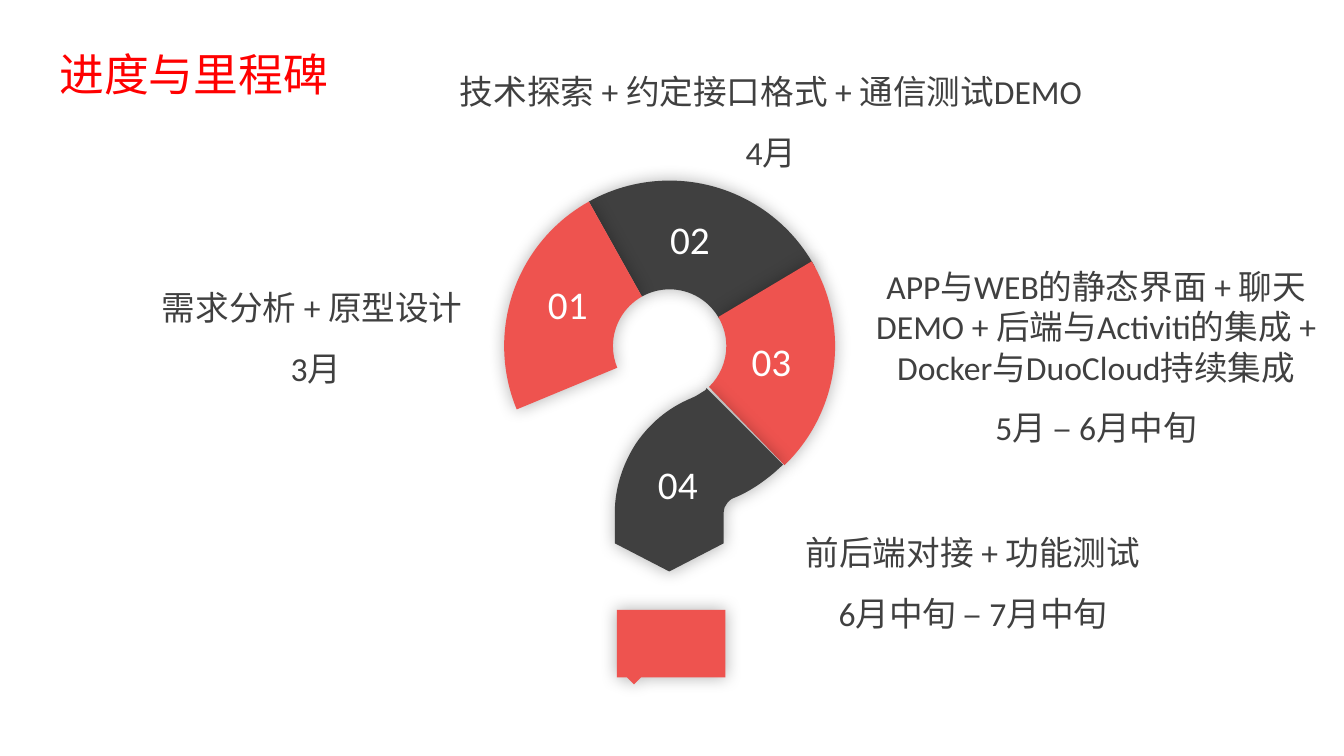
import math
from dataclasses import dataclass

import pptx
import pptx.dml.color
import pptx.enum.text
import pptx.oxml
import pptx.oxml.ns
import pptx.util

Pt = pptx.util.Pt
qn = pptx.oxml.ns.qn
Align = pptx.enum.text.PP_ALIGN
Anchor = pptx.enum.text.MSO_ANCHOR
AutoSize = pptx.enum.text.MSO_AUTO_SIZE


@dataclass(frozen=True)
class Theme:
    font: str = "Calibri"
    red: str = "EE534F"
    dark: str = "404040"
    white: str = "FFFFFF"
    title: str = "FF0000"
    title_size: int = 32
    number_size: int = 28
    body_size: int = 24


THEME = Theme()

# The ring of the question mark: centre and radii in points
CENTRE = (478.3, 247.2)
OUTER, INNER = 118.2, 40.5

# Fill, then the angles of the start, the axis crossed and the end, clockwise
SECTORS = [
    (THEME.dark, (240.8, 270, 331.6)),
    (THEME.red, (-30.8, 0, 46)),
    (THEME.red, (157.5, 180, 240.8)),
]

# Each step is one point for a line, or three points for a curve
HOOK = [
    [(504.7, 277.2)],
    [(559.4, 331.9)],
    [(553, 337.7)],
    [(544.3, 344.9), (535, 351.4), (524.2, 355.7)],
    [(522, 356.4), (519.8, 358.6), (519.1, 360)],
    [(517.7, 361.4), (517, 363.6), (517, 365.8)],
    [(517, 388.1)],
    [(478.1, 408.2)],
    [(439.2, 388.1)],
    [(439.2, 365.8)],
    [(439.2, 348.5), (445, 331.2), (454.3, 316.8)],
    [(463.7, 303.1), (476.6, 291.6), (493.9, 284.4)],
    [(497.5, 283), (500.4, 280.8), (504, 278.6)],
]
DOT = [[(440.6, 435.6)], [(518.2, 435.6)], [(518.2, 483.8)], [(457.9, 483.8)],
       [(452.9, 488.9)], [(447.8, 483.8)], [(440.6, 483.8)]]

# Left and top of each number
NUMBERS = {
    "01": (380, 196.6),
    "02": (467.3, 150.5),
    "03": (525.4, 237.1),
    "04": (458.6, 325.4),
}

# Left, top, width, height, line spacing of the task, task, date
MILESTONES = [
    (96.5, 187.2, 258.5, 90, 1.5, "需求分析 + 原型设计 ", "3月"),
    (305.5, 33, 490.3, 90, 1.5, "技术探索 + 约定接口格式 + 通信测试DEMO", "4月"),
    (617, 186.5, 331.9, 138.2, 1.0,
     "APP与WEB的静态界面 + 聊天DEMO + 后端与Activiti的集成 + Docker与DuoCloud持续集成",
     "5月 – 6月中旬"),
    (529, 362.2, 331.9, 90, 1.5, "前后端对接 + 功能测试", "6月中旬 – 7月中旬"),
]


def set_all(target, values):
    for name, value in values.items():
        setattr(target, name, value)


def rgb(value):
    return pptx.dml.color.RGBColor.from_string(value)


def ring_point(radius, degrees, along=0.0):
    """Point on the ring, moved by a length along its tangent."""
    angle = math.radians(degrees)
    return (CENTRE[0] + radius * math.cos(angle) - along * math.sin(angle),
            CENTRE[1] + radius * math.sin(angle) + along * math.cos(angle))


def arc(radius, angles):
    """One curve step between each pair of neighbouring angles."""
    steps = []
    for start, end in zip(angles, angles[1:]):
        reach = radius * 4 / 3 * math.tan(math.radians(end - start) / 4)
        steps.append([ring_point(radius, start, reach),
                      ring_point(radius, end, -reach),
                      ring_point(radius, end)])
    return steps


def sector(angles):
    return [[ring_point(OUTER, angles[0])], *arc(OUTER, angles),
            [ring_point(INNER, angles[-1])], *arc(INNER, angles[::-1])]


def bend(shape, steps):
    """Turn the three lines of each curve step into one curve."""
    lines = iter(list(shape.element.iter(qn("a:lnTo"))))
    for step in steps:
        group = [next(lines) for _ in step]
        if len(group) == 3:
            cubic = pptx.oxml.parse_xml(
                f'<a:cubicBezTo {pptx.oxml.ns.nsdecls("a")}/>')
            group[0].addprevious(cubic)
            for line in group:
                cubic.append(line[0])
                line.getparent().remove(line)


def add_outline(page, steps, fill):
    corners = [(Pt(x), Pt(y)) for step in steps for x, y in step]
    builder = page.shapes.build_freeform(*corners[0], scale=1.0)
    builder.add_line_segments(corners[1:], close=True)
    shape = builder.convert_to_shape()
    bend(shape, steps[1:])
    shape.fill.solid()
    shape.fill.fore_color.rgb = rgb(fill)
    shape.line.fill.background()
    # Soft shadow on all sides
    shape.shadow.inherit = False
    effects = shape.element.spPr.find(qn("a:effectLst"))
    effects.append(pptx.oxml.parse_xml(
        f'<a:outerShdw {pptx.oxml.ns.nsdecls("a")} blurRad="{Pt(12)}" dist="0" '
        'algn="ctr" rotWithShape="0"><a:srgbClr val="000000">'
        '<a:alpha val="30000"/></a:srgbClr></a:outerShdw>'))


def add_text(page, place, lines, size, color, align=Align.CENTER, **frame):
    """Lines are pairs of text and line spacing."""
    box = page.shapes.add_textbox(*map(Pt, place))
    set_all(box.text_frame, {"word_wrap": True, **frame})
    for index, (text, spacing) in enumerate(lines):
        para = box.text_frame.add_paragraph() if index else box.text_frame.paragraphs[0]
        set_all(para, {"alignment": align, "line_spacing": spacing})
        span = para.add_run()
        span.text = text
        set_all(span.font, {"name": THEME.font, "size": Pt(size)})
        span.font.color.rgb = rgb(color)


def main():
    deck = pptx.Presentation()
    set_all(deck, {"slide_width": Pt(960), "slide_height": Pt(540)})
    page = deck.slides.add_slide(deck.slide_layouts[6])

    # Question mark
    for fill, angles in SECTORS:
        add_outline(page, sector(angles), fill)
    add_outline(page, HOOK, THEME.dark)
    add_outline(page, DOT, THEME.red)
    for number, corner in NUMBERS.items():
        add_text(page, (*corner, 51.1, 41), [(number, 1.0)], THEME.number_size,
                 THEME.white, auto_size=AutoSize.SHAPE_TO_FIT_TEXT)

    # Title
    add_text(page, (35.3, 27.4, 259.2, 50.4), [("进度与里程碑", 1.0)], THEME.title_size,
             THEME.title, Align.LEFT, vertical_anchor=Anchor.MIDDLE)

    # Milestones
    for *place, spacing, task, date in MILESTONES:
        add_text(page, place, [(task, spacing), (date, 1.5)], THEME.body_size,
                 THEME.dark, auto_size=AutoSize.SHAPE_TO_FIT_TEXT)

    deck.save("out.pptx")


if __name__ == "__main__":
    main()
